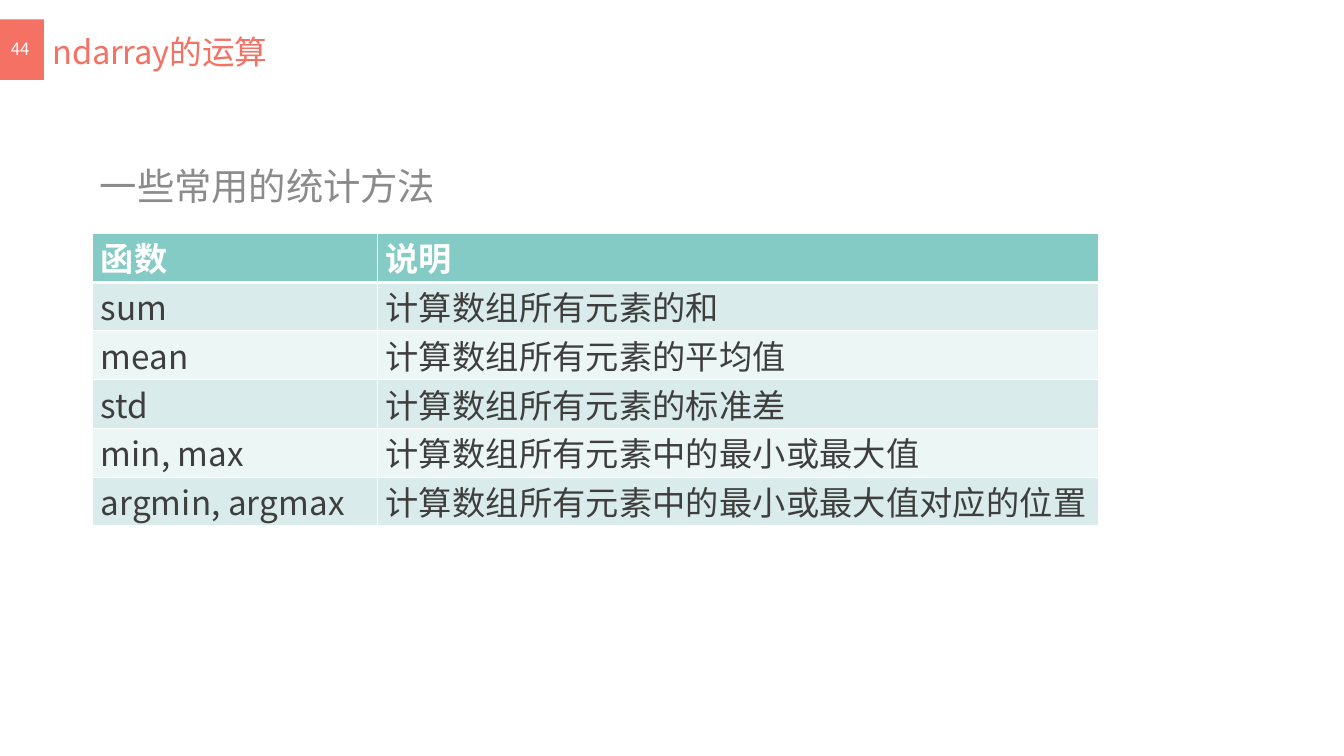
from collections import namedtuple
from dataclasses import dataclass

from lxml.etree import SubElement
from pptx import Presentation
from pptx.dml.color import RGBColor
from pptx.enum.shapes import MSO_SHAPE
from pptx.enum.text import MSO_ANCHOR, MSO_AUTO_SIZE, PP_ALIGN
from pptx.oxml.ns import qn
from pptx.util import Inches, Pt

Box = namedtuple("Box", "left top width height")


@dataclass(frozen=True)
class Theme:
    accent: str = "F47163"
    page_text: str = "FBFBFB"
    subtitle: str = "8B8B8B"
    cell_text: str = "3E3E3E"
    white: str = "FFFFFF"
    header_fill: str = "84CAC5"
    bands: tuple = ("D9EBEA", "ECF6F5")
    font: str = "Noto Sans CJK SC"
    header_font: str = "Noto Sans CJK TC"
    title_size: float = 28
    subtitle_size: float = 32
    page_size: float = 14.5
    cell_size: float = 28.5
    line_ratio: float = 1.19


THEME = Theme()
WIDTH, HEIGHT = 16, 9
METHODS = [
    ("函数", "说明"),
    ("sum", "计算数组所有元素的和"),
    ("mean", "计算数组所有元素的平均值"),
    ("std", "计算数组所有元素的标准差"),
    ("min, max", "计算数组所有元素中的最小或最大值"),
    ("argmin, argmax", "计算数组所有元素中的最小或最大值对应的位置"),
]


def place(box):
    return [Inches(length) for length in box]


def write(frame, text, size, color, font=THEME.font, bold=False, spacing=-0.1):
    paragraph = frame.paragraphs[0]
    paragraph.alignment = PP_ALIGN.LEFT
    paragraph.space_before = Pt(0)
    paragraph.line_spacing = Pt(round(size * THEME.line_ratio, 1))
    run = paragraph.add_run()
    run.text = text
    run.font.size = Pt(size)
    run.font.bold = bold
    run.font.name = font
    run.font.color.rgb = RGBColor.from_string(color)
    properties = run.font._element
    properties.set("spc", str(round(spacing * 100)))
    SubElement(properties, qn("a:ea")).set("typeface", font)


def set_frame(frame, top_inset):
    frame.word_wrap = True
    frame.auto_size = MSO_AUTO_SIZE.NONE
    frame.vertical_anchor = MSO_ANCHOR.TOP
    frame.margin_left = frame.margin_right = frame.margin_bottom = 0
    frame.margin_top = Inches(top_inset)


def add_label(slide, box, text, top_inset, **style):
    label = slide.shapes.add_textbox(*place(box))
    set_frame(label.text_frame, top_inset)
    write(label.text_frame, text, **style)


def add_heading(slide, box):
    tab_width = box.width / 6
    tab = slide.shapes.add_shape(
        MSO_SHAPE.RECTANGLE, *place(Box(box.left, box.top, tab_width, box.height)))
    tab.shadow.inherit = False
    tab.fill.solid()
    tab.fill.fore_color.rgb = RGBColor.from_string(THEME.accent)
    tab.line.fill.background()
    page_box = Box(box.left + tab_width / 4, box.top + box.height * 0.3,
                   tab_width / 2, box.height * 0.4)
    add_label(slide, page_box, "44", 0.02,
              size=THEME.page_size, color=THEME.page_text)

    title = slide.shapes.title
    title.left, title.top, title.width, title.height = place(
        Box(box.left + tab_width + 0.1, box.top + 0.1, box.width - tab_width, 0.5))
    set_frame(title.text_frame, 0.05)
    write(title.text_frame, "ndarray的运算",
          size=THEME.title_size, color=THEME.accent)


def set_border(cell, weights):
    properties = cell._tc.get_or_add_tcPr()
    for position, (side, weight) in enumerate(weights.items()):
        line = SubElement(properties, qn(f"a:ln{side}"), w=str(Pt(weight)))
        fill = SubElement(line, qn("a:solidFill"))
        SubElement(fill, qn("a:srgbClr"), val=THEME.white)
        properties.insert(position, line)


def add_methods(slide, box):
    table = slide.shapes.add_table(
        len(METHODS), len(METHODS[0]), *place(box)).table
    name_width = 3.39
    table.columns[0].width = Inches(name_width)
    table.columns[1].width = Inches(box.width - name_width)
    for row, texts in enumerate(METHODS):
        table.rows[row].height = Inches(box.height / len(METHODS))
        header = row == 0
        fill = THEME.header_fill if header else THEME.bands[(row - 1) % 2]
        for column, text in enumerate(texts):
            cell = table.cell(row, column)
            cell.margin_left, cell.margin_top = Inches(0.1), Inches(0.1)
            cell.margin_right = cell.margin_bottom = 0
            cell.vertical_anchor = MSO_ANCHOR.TOP
            cell.fill.solid()
            cell.fill.fore_color.rgb = RGBColor.from_string(fill)
            set_border(cell, {"L": 1, "R": 1, "T": 3 if row == 1 else 1,
                              "B": 3 if header else 1})
            write(cell.text_frame, text, size=THEME.cell_size,
                  color=THEME.white if header else THEME.cell_text,
                  font=THEME.header_font if header else THEME.font,
                  bold=header, spacing=0.1 if column == 0 and not header else 0.2)


def main():
    presentation = Presentation()
    presentation.slide_width = Inches(WIDTH)
    presentation.slide_height = Inches(HEIGHT)
    slide = presentation.slides.add_slide(presentation.slide_layouts[5])
    add_heading(slide, Box(0, 0.23, 3.14, HEIGHT * 0.08))
    add_label(slide, Box(1.19, 1.88, WIDTH / 4, 0.56), "一些常用的统计方法", 0.07,
              size=THEME.subtitle_size, color=THEME.subtitle)
    add_methods(slide, Box(1.1, 2.78, 11.98, 3.48))
    presentation.save("out.pptx")


if __name__ == "__main__":
    main()
